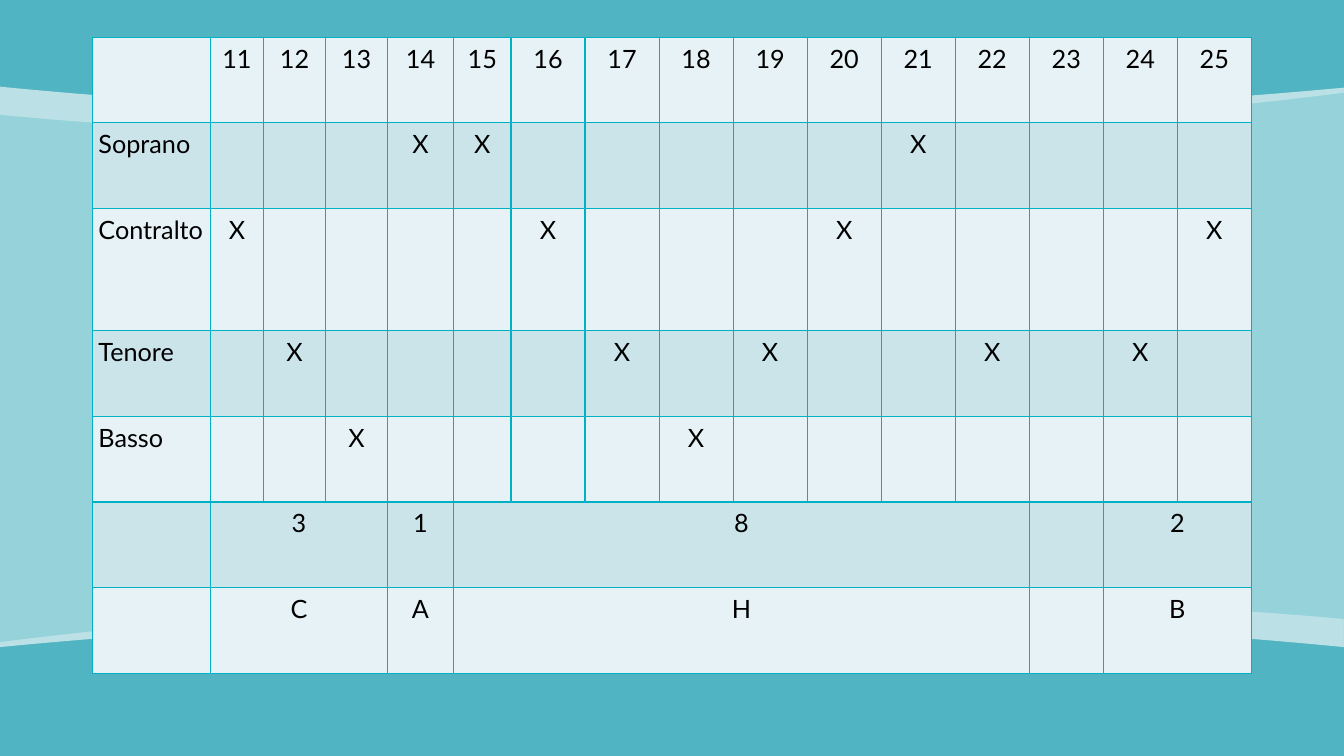
from lxml.etree import SubElement
from pptx import Presentation
from pptx.dml.color import RGBColor
from pptx.enum.text import PP_ALIGN as Align
from pptx.oxml.ns import qn
from pptx.util import Emu, Inches, Pt

BACKDROP, PALE, WAVE = "51B4C2", "E9F5F7", "96D2DA"
BORDER, INK, STRIPES = "00B1C5", "000000", ("E6F2F5", "CAE4EA")
NUMBERS = range(11, 26)
VOICES = {
    "Soprano": (14, 15, 21),
    "Contralto": (11, 16, 20, 25),
    "Tenore": (12, 17, 19, 22, 24),
    "Basso": (13, 18),
}
GROUPS = [(1, 3, "3", "C"), (4, 1, "1", "A"), (5, 8, "8", "H"), (14, 2, "2", "B")]
COLUMN_SHARES = [118, 53, 62, 62, 66, 57.5] + [74] * 10
ROW_SHARES = [7, 7, 10, 7, 7, 7, 7]
TABLE_PERCENTS = (6.88, 4.93, 86.25, 84.13)

OUTER_TOP = [(0, 11.47), (14.55, 14), (31.73, 15.47), (50.1, 15.47),
             (68.4, 15.47), (85.5, 14), (100, 11.6)]
OUTER_BOTTOM = [(100, 85.6), (85.4, 83.07), (68.3, 81.6), (49.9, 81.6),
                (31.6, 81.6), (14.5, 83.07), (0, 85.6)]
INNER_TOP = [(0, 15.2), (14.2, 17.6), (31.5, 18.67), (50.2, 18.13),
             (68.8, 17.6), (85.9, 15.47), (100, 12.27)]
INNER_BOTTOM = [(100, 81.87), (85.8, 79.6), (68.5, 78.53), (49.8, 79.07),
                (31.2, 79.6), (14.1, 81.73), (0, 84.93)]
RIGHT_EDGE = [[OUTER_TOP[-1]], [OUTER_BOTTOM[0]]]


def paint(fill, color):
    """Give a fill one solid colour."""
    fill.solid()
    fill.fore_color.rgb = RGBColor.from_string(color)


def bend_lines(shape, chains):
    """Turn each three segments after the start of a chain into one curve."""
    segments = iter(list(shape._element.iter(qn("a:moveTo"), qn("a:lnTo"))))
    for chain in chains:
        next(segments)
        for _ in range(len(chain) // 3):
            curve = next(segments)
            curve.tag = qn("a:cubicBezTo")
            for _ in range(2):
                extra = next(segments)
                curve.append(extra[0])
                extra.getparent().remove(extra)


def add_band(slide, box, chains, color, opacity=100):
    """Draw a curved band whose chains are given in percent of the box."""
    left, top, width, height = box
    outline = [(left + x * width / 100, top + y * height / 100)
               for chain in chains for x, y in chain]
    builder = slide.shapes.build_freeform(*outline[0])
    builder.add_line_segments(outline[1:], close=True)
    band = builder.convert_to_shape()
    bend_lines(band, chains)
    band.shadow.inherit = False
    band.line.fill.background()
    paint(band.fill, color)
    if opacity < 100:
        tint = next(band._element.spPr.iter(qn("a:srgbClr")))
        SubElement(tint, qn("a:alpha"), val=str(opacity * 1000))


def style_cell(cell, color):
    """Set the borders, fill and margins of a cell."""
    properties = cell._tc.get_or_add_tcPr()
    for side in ("lnL", "lnR", "lnT", "lnB"):
        line = SubElement(properties, qn(f"a:{side}"), w=str(Pt(1)))
        SubElement(SubElement(line, qn("a:solidFill")), qn("a:srgbClr"), val=BORDER)
    paint(cell.fill, color)
    cell.margin_left = cell.margin_right = Inches(0.06)
    cell.margin_top = cell.margin_bottom = Inches(0.06)


def write_cell(cell, text, align=Align.CENTER):
    """Write one run of text in a cell."""
    paragraph = cell.text_frame.paragraphs[0]
    paragraph.alignment = align
    run = paragraph.add_run()
    run.text = text
    run.font.size, run.font.name = Pt(18), "Lato"
    run.font.color.rgb = RGBColor.from_string(INK)


def add_voice_table(slide, box):
    """Build the table of voices and their numbered entries."""
    left, top, width, height = box
    table = slide.shapes.add_table(len(ROW_SHARES), len(COLUMN_SHARES), *box).table
    for column, share in zip(table.columns, COLUMN_SHARES):
        column.width = Emu(round(width * share / sum(COLUMN_SHARES)))
    for index, (row, share) in enumerate(zip(table.rows, ROW_SHARES)):
        row.height = Emu(round(height * share / sum(ROW_SHARES)))
        for cell in row.cells:
            style_cell(cell, STRIPES[index % 2])
    for column, number in enumerate(NUMBERS, 1):
        write_cell(table.cell(0, column), str(number))
    for row, (voice, entries) in enumerate(VOICES.items(), 1):
        write_cell(table.cell(row, 0), voice, Align.LEFT)
        for number in entries:
            write_cell(table.cell(row, number - NUMBERS[0] + 1), "X")
    for column, span, *labels in GROUPS:
        for row, label in enumerate(labels, len(VOICES) + 1):
            cell = table.cell(row, column)
            if span > 1:
                cell.merge(table.cell(row, column + span - 1))
            write_cell(cell, label)


def build_slide(presentation):
    """Lay the backdrop bands and the table on a blank slide."""
    width, height = presentation.slide_width, presentation.slide_height
    slide = presentation.slides.add_slide(presentation.slide_layouts[6])
    paint(slide.background.fill, BACKDROP)
    page = (0, 0, width, height)
    add_band(slide, page, [OUTER_TOP, OUTER_BOTTOM], PALE, opacity=70)
    add_band(slide, page, RIGHT_EDGE + [INNER_BOTTOM, INNER_TOP], WAVE)
    add_voice_table(slide, [Emu(round(percent * length / 100))
                            for percent, length in zip(TABLE_PERCENTS, (width, height) * 2)])


presentation = Presentation()
presentation.slide_width, presentation.slide_height = Inches(13.33), Inches(7.5)
build_slide(presentation)
presentation.save("out.pptx")
